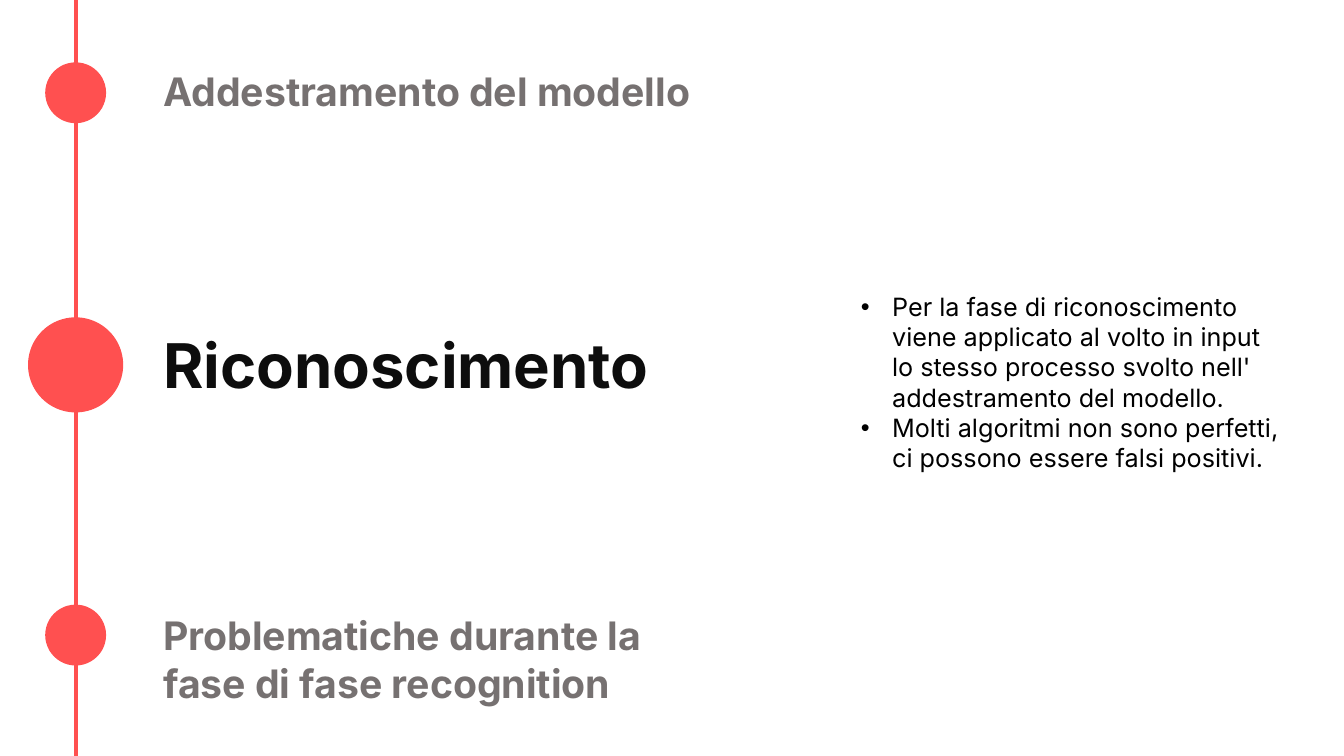
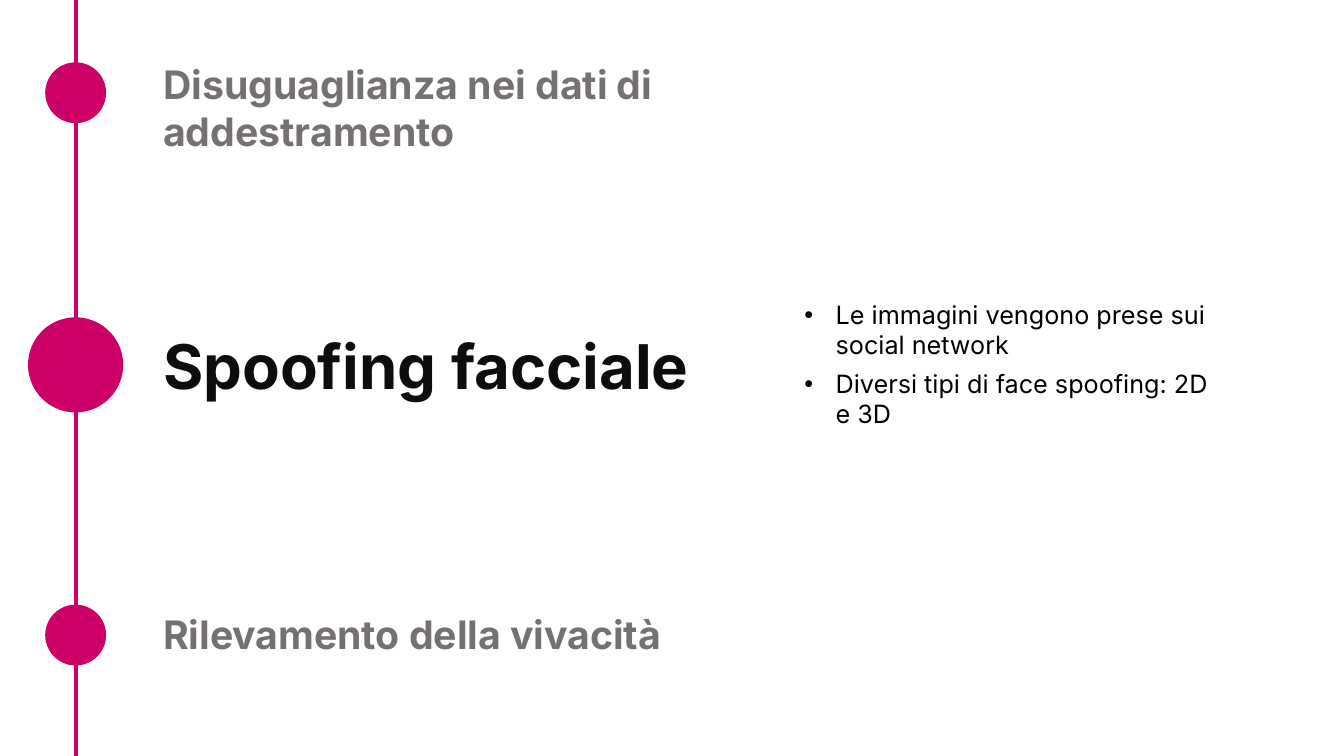
import pptx
import pptx.util
import pptx.dml.color
import pptx.enum.shapes
import pptx.enum.text
from lxml import etree
from pptx.oxml.ns import qn

Inches = pptx.util.Inches
Pt = pptx.util.Pt

COLORS = {
    "red": "FF5050",
    "magenta": "CC0066",
    "muted": "767171",
    "title": "0D0D0D",
    "body": "000000",
}
FONT = "Inter"
WIDTH, HEIGHT = 13.33, 7.5
AXIS_X = 0.75
DOTS = [(0.92, 0.59), (3.62, 0.93), (6.3, 0.59)]  # centre y, diameter
LABEL_X, LABEL_W = 1.52, 5.71
BODY_W = 4.35
INDENT = 0.31


def rgb(name):
    return pptx.dml.color.RGBColor.from_string(COLORS[name])


def add_bullet(p):
    pPr = p._p.get_or_add_pPr()
    pPr.set("marL", str(Inches(INDENT)))
    pPr.set("indent", str(-Inches(INDENT)))
    etree.SubElement(pPr, qn("a:buFont")).set("typeface", "Arial")
    etree.SubElement(pPr, qn("a:buChar")).set("char", "•")


class Deck:
    def __init__(self):
        self.prs = pptx.Presentation()
        self.prs.slide_width = Inches(WIDTH)
        self.prs.slide_height = Inches(HEIGHT)
        self.s = None

    def slide(self):
        self.s = self.prs.slides.add_slide(self.prs.slide_layouts[6])

    def dot(self, center_y, size, color):
        sp = self.s.shapes.add_shape(
            pptx.enum.shapes.MSO_SHAPE.OVAL,
            Inches(AXIS_X - size / 2), Inches(center_y - size / 2),
            Inches(size), Inches(size))
        sp.shadow.inherit = False
        sp.fill.solid()
        sp.fill.fore_color.rgb = rgb(color)
        sp.line.color.rgb = rgb(color)
        sp.line.width = Pt(1)

    def axis(self, color):
        line = self.s.shapes.add_connector(
            pptx.enum.shapes.MSO_CONNECTOR.STRAIGHT,
            Inches(AXIS_X), 0, Inches(AXIS_X), Inches(HEIGHT))
        line.line.color.rgb = rgb(color)
        line.line.width = Pt(3)
        etree.SubElement(line._element.spPr, qn("a:effectLst"))

    def text(self, paragraphs, x, y, w, h, size=18, color="body", bold=False,
             bullets=False, gap=0):
        """Add a text box; gap is the space in points between paragraphs."""
        box = self.s.shapes.add_textbox(Inches(x), Inches(y), Inches(w), Inches(h))
        tf = box.text_frame
        tf.word_wrap = True
        tf.auto_size = pptx.enum.text.MSO_AUTO_SIZE.SHAPE_TO_FIT_TEXT
        for i, content in enumerate(paragraphs):
            p = tf.paragraphs[0] if i == 0 else tf.add_paragraph()
            if bullets:
                add_bullet(p)
            if i and gap:
                p.space_before = Pt(gap)
            r = p.add_run()
            r.text = content
            r.font.name = FONT
            r.font.size = Pt(size)
            r.font.bold = bold
            r.font.color.rgb = rgb(color)

    def step(self, content, y, h, current=False):
        self.text([content], LABEL_X, y, LABEL_W, h, bold=True,
                  size=44 if current else 28,
                  color="title" if current else "muted")

    def timeline(self, color, before, current, after):
        """Start a slide with three steps, each given as text, top and height."""
        self.slide()
        for center_y, size in DOTS:
            self.dot(center_y, size, color)
        self.axis(color)
        self.step(*before)
        self.step(*current, current=True)
        self.step(*after)

    def bullets(self, paragraphs, x, y, h, gap=0):
        self.text(paragraphs, x, y, BODY_W, h, bullets=True, gap=gap)


def main():
    deck = Deck()
    deck.timeline(
        "red",
        ("Addestramento del modello", 0.62, 0.57),
        ("Riconoscimento", 3.19, 0.84),
        ("Problematiche durante la fase di fase recognition", 6.02, 1.04))
    deck.bullets([
        "Per la fase di riconoscimento viene applicato al volto in input "
        "lo stesso processo svolto nell' addestramento del modello.",
        "Molti algoritmi non sono perfetti, ci possono essere falsi positivi.",
    ], 8.44, 2.84, 2.22)

    deck.timeline(
        "magenta",
        ("Disuguaglianza nei dati di addestramento", 0.55, 1.04),
        ("Spoofing facciale", 3.2, 0.84),
        ("Rilevamento della vivacità", 6.01, 0.57))
    deck.bullets([
        "Le immagini vengono prese sui social network",
        "Diversi tipi di face spoofing: 2D e 3D",
    ], 7.88, 2.92, 1.4, gap=6)
    deck.prs.save("out.pptx")


if __name__ == "__main__":
    main()
